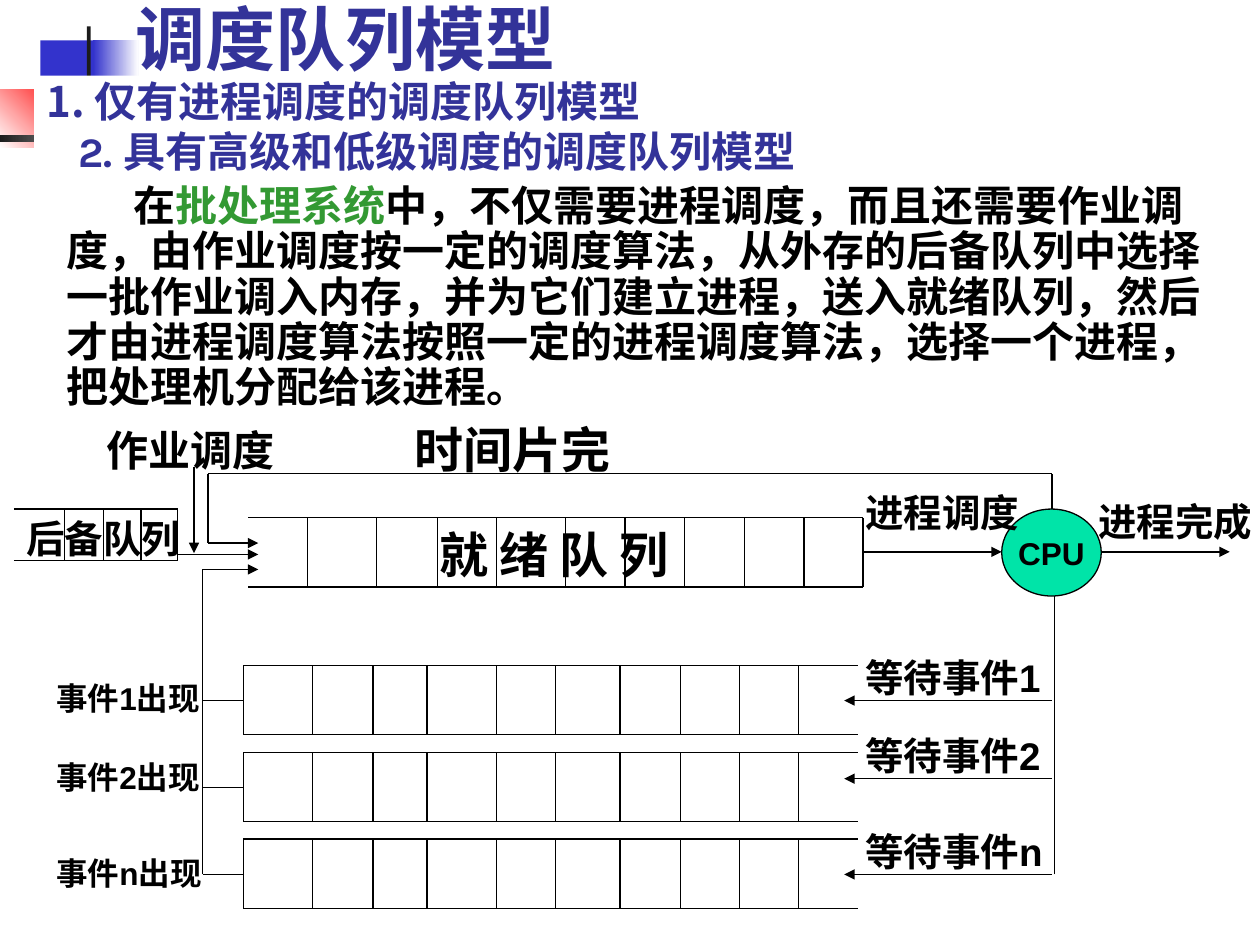
import copy

import pptx
import pptx.dml.color
import pptx.enum.shapes
import pptx.enum.text
import pptx.oxml
import pptx.oxml.ns
import pptx.util

Inches = pptx.util.Inches
Shape = pptx.enum.shapes.MSO_SHAPE
Anchor = pptx.enum.text.MSO_ANCHOR
Align = pptx.enum.text.PP_ALIGN
AutoSize = pptx.enum.text.MSO_AUTO_SIZE
qualified = pptx.oxml.ns.qn

COLORS = {
    "black": "000000",
    "white": "FFFFFF",
    "blue": "3333CC",
    "red": "FF0000",
    "charcoal": "1C1C1C",
    "heading": "333399",
    "highlight": "339933",
    "cpu": "00E4A8",
}


def color(name):
    return pptx.dml.color.RGBColor.from_string(COLORS[name])


def write(paragraph, text, size=22, font="Arial", ink="black", bold=True):
    for position, line in enumerate(text.split("\n")):
        if position:
            paragraph.add_line_break()
            line_break = paragraph._p.findall(qualified("a:br"))[-1]
            line_break.append(copy.deepcopy(run._r.rPr))
        run = paragraph.add_run()
        run.text = line
        run.font.size = pptx.util.Pt(size)
        run.font.name = font
        run.font.bold = bold
        run.font.color.rgb = color(ink)


class SlideBuilder:
    heading_font = "Karla"
    line_width = 0.75

    def __init__(self, presentation):
        self.slide = presentation.slides.add_slide(presentation.slide_layouts[1])
        self.canvas = self.slide.shapes

    def start_group(self):
        self.canvas = self.slide.shapes.add_group_shape().shapes

    def end_group(self):
        self.canvas = self.slide.shapes

    def place(self, shape, left, top, width, height):
        shape.left, shape.top = Inches(left), Inches(top)
        shape.width, shape.height = Inches(width), Inches(height)

    def block(self, left, top, width, height, fills, angle=0, kind=Shape.RECTANGLE):
        shape = self.canvas.add_shape(
            kind, Inches(left), Inches(top), Inches(width), Inches(height))
        shape.shadow.inherit = False
        shape.line.fill.background()
        if len(fills) == 1:
            shape.fill.solid()
            shape.fill.fore_color.rgb = color(fills[0])
        else:
            shape.fill.gradient()
            shape.fill.gradient_angle = angle
            for stop, name, position in zip(shape.fill.gradient_stops, fills, (0, 1)):
                stop.color.rgb = color(name)
                stop.position = position
        return shape

    def placeholder(self, index, left, top, width, height, anchor):
        shape = self.slide.placeholders[index]
        self.slide.shapes._spTree.append(shape._element)
        self.place(shape, left, top, width, height)
        frame = shape.text_frame
        frame.auto_size = AutoSize.NONE
        frame.vertical_anchor = anchor
        paragraph = frame.paragraphs[0]
        paragraph.alignment = Align.LEFT
        paragraph.space_before = pptx.util.Pt(0)
        return shape, paragraph

    def bullet(self, paragraph, markup, margin, indent):
        properties = paragraph._p.get_or_add_pPr()
        properties.set("marL", str(Inches(margin)))
        properties.set("indent", str(Inches(indent)))
        for element in markup:
            properties.append(pptx.oxml.parse_xml(
                element.replace("/>", f" {pptx.oxml.ns.nsdecls('a')}/>", 1)
                if element.endswith("/>") and element.count("<") == 1
                else element.replace(">", f" {pptx.oxml.ns.nsdecls('a')}>", 1)))

    def label(self, left, top, width, height, text, anchor=Anchor.TOP, **style):
        box = self.canvas.add_textbox(
            Inches(left), Inches(top), Inches(width), Inches(height))
        box.text_frame.word_wrap = True
        box.text_frame.vertical_anchor = anchor
        write(box.text_frame.paragraphs[0], text, **style)

    def line(self, x1, y1, x2, y2, arrow=False):
        connector = self.canvas.add_connector(
            pptx.enum.shapes.MSO_CONNECTOR.STRAIGHT,
            Inches(x1), Inches(y1), Inches(x2), Inches(y2))
        connector.line.width = pptx.util.Pt(self.line_width)
        connector.line.color.rgb = color("black")
        if arrow:
            outline = connector.line._get_or_add_ln()
            outline.append(outline.makeelement(qualified("a:tailEnd"), {"type": "triangle"}))
        properties = connector._element.spPr
        properties.append(properties.makeelement(qualified("a:effectLst"), {}))

    def queue(self, left, right, top, height, dividers):
        for y in (top, top + height):
            self.line(left, y, right, y)
        for x in dividers:
            self.line(x, top, x, top + height)


def add_decoration(builder):
    builder.start_group()
    builder.block(0.32, 0.32, 0.48, 0.52, ["blue"])
    builder.block(0.74, 0.32, 0.36, 0.52, ["blue", "white"])
    builder.block(0, 0.71, 0.61, 0.46, ["white", "red"], angle=45)
    builder.block(0.69, 0.21, 0.03, 1.15, ["charcoal"])
    builder.block(0, 1.07, 1.22, 0.06, ["charcoal", "white"])
    builder.end_group()


def add_text(builder):
    font = builder.heading_font
    body, paragraph = builder.placeholder(1, 0.43, 1.42, 9.29, 2.1, Anchor.TOP)
    paragraph.line_spacing = 0.9
    builder.bullet(paragraph, ["<a:buNone/>"], 0, 0.53)
    for text, ink in (
        ("在", "black"),
        ("批处理系统", "highlight"),
        ("中，不仅需要进程调度，而且还需要作业调度，由作业调度按一定的调度算法，"
         "从外存的后备队列中选择一批作业调入内存，并为它们建立进程，送入就绪队列，"
         "然后才由进程调度算法按照一定的进程调度算法，选择一个进程，"
         "把处理机分配给该进程。", "black"),
    ):
        write(paragraph, text, size=24, font=font, ink=ink)

    title, paragraph = builder.placeholder(0, 0.27, 0.6, 8.52, 0.85, Anchor.BOTTOM)
    title.fill.solid()
    title.fill.fore_color.rgb = color("white")
    builder.bullet(paragraph, [
        f'<a:buClr><a:srgbClr val="{COLORS["heading"]}"/></a:buClr>',
        '<a:buAutoNum type="arabicPeriod"/>'], 0.25, -0.25)
    write(paragraph, " 仅有进程调度的调度队列模型\n2. 具有高级和低级调度的调度队列模型",
          size=24, font=font, ink="heading")
    builder.label(0.98, -0.03, 8.52, 0.71, "调度队列模型", anchor=Anchor.BOTTOM,
                  size=40, font=font, ink="heading")


def add_diagram(builder):
    builder.start_group()
    cells = [0, 0.55, 1.03, 1.46, 2.01, 2.48, 2.99, 3.47, 3.94, 4.41]
    events = [("1", 5.28, 5.56, 5.56, 5.14, 5.34),
              ("2", 5.97, 6.25, 6.18, 5.76, 5.97),
              ("n", 6.66, 6.94, 6.94, 6.52, 6.73)]
    for name, top, exit_y, entry_y, wait_top, occur_top in events:
        builder.queue(1.93, 6.81, top, 0.55, [1.93 + offset for offset in cells])
        builder.line(1.61, exit_y, 1.93, exit_y)
        builder.line(8.35, entry_y, 6.7, entry_y, arrow=True)
        builder.label(6.77, wait_top, 1.85, 0.47, f"等待事件{name}")
        builder.label(0.35, occur_top, 1.5, 0.4, f"事件{name}出现", size=18)

    ready_cells = [2.44, 2.99, 3.47, 3.94, 4.49, 4.96, 5.43, 5.91, 6.38, 6.85]
    builder.queue(1.97, 6.85, 4.11, 0.55, ready_cells)
    builder.queue(0.11, 1.41, 4.04, 0.41, [0.51, 0.82, 1.12, 1.41])

    for segment in ((1.65, 3.76, 8.35, 3.76), (8.35, 4.04, 8.35, 3.76),
                    (1.65, 3.76, 1.65, 4.31), (1.61, 6.94, 1.61, 4.52),
                    (8.37, 6.94, 8.37, 4.73)):
        builder.line(*segment)
    for segment in ((6.85, 4.38, 7.95, 4.38), (8.74, 4.38, 9.76, 4.38),
                    (1.65, 4.31, 2.05, 4.31), (1.41, 4.4, 2.05, 4.4),
                    (1.61, 4.52, 2.05, 4.52), (1.54, 3.71, 1.54, 4.39)):
        builder.line(*segment, arrow=True)

    cpu = builder.block(7.95, 4.04, 0.79, 0.69, ["cpu"], kind=Shape.OVAL)
    cpu.line.color.rgb = color("black")
    cpu.line.width = pptx.util.Pt(builder.line_width)
    cpu.text_frame.word_wrap = False
    cpu.text_frame.vertical_anchor = Anchor.MIDDLE
    paragraph = cpu.text_frame.paragraphs[0]
    paragraph.alignment = Align.CENTER
    write(paragraph, "CPU", size=18)

    builder.label(3.39, 4.11, 2.13, 0.57, "就 绪 队 列", size=28)
    builder.label(3.19, 3.28, 2.13, 0.57, "时间片完", size=28)
    builder.label(0.75, 3.32, 1.65, 0.5, "作业调度", size=24)
    for left, top, text in ((6.77, 3.83, "进程调度"), (8.62, 3.9, "进程完成"),
                            (0.11, 4.04, "后备队列")):
        builder.label(left, top, 1.57, 0.47, text)
    builder.end_group()


def main():
    presentation = pptx.Presentation()
    presentation.slide_width, presentation.slide_height = Inches(10), Inches(7.5)
    builder = SlideBuilder(presentation)
    add_decoration(builder)
    add_text(builder)
    add_diagram(builder)
    presentation.save("out.pptx")


if __name__ == "__main__":
    main()
